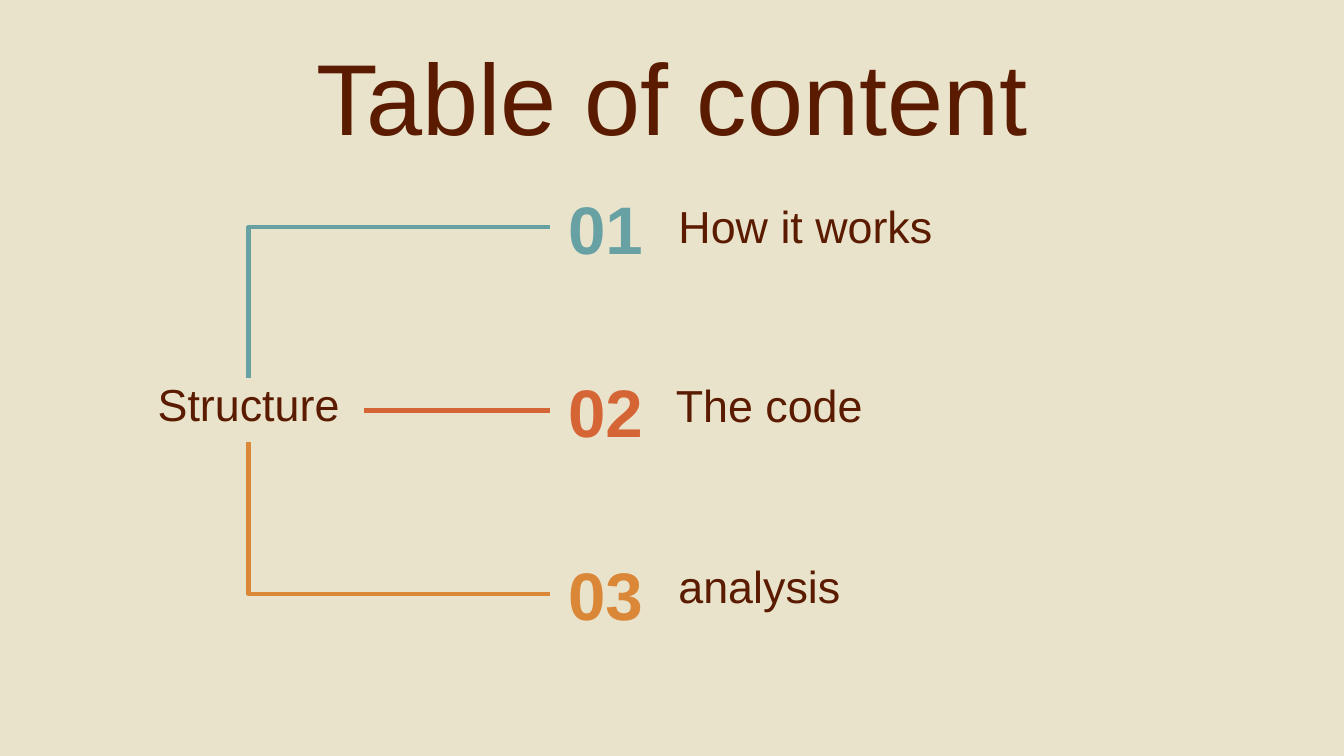
from dataclasses import dataclass

from pptx import Presentation
from pptx.dml.color import RGBColor
from pptx.enum.shapes import MSO_CONNECTOR
from pptx.enum.text import MSO_ANCHOR, PP_ALIGN
from pptx.oxml.ns import qn
from pptx.util import Inches, Pt


@dataclass(frozen=True)
class Theme:
    """Colours, font and type sizes of the slide."""
    background: str = "E9E3CB"
    ink: str = "5A1B00"
    teal: str = "68A1A4"
    red: str = "D56534"
    orange: str = "DA8737"
    font: str = "Arial"
    title_size: float = 54
    number_size: float = 36
    label_size: float = 24
    line_width: float = 2.25


@dataclass(frozen=True)
class Box:
    """A rectangle in inches."""
    left: float
    top: float
    width: float
    height: float


@dataclass(frozen=True)
class Section:
    """One entry of the contents and the branch that leads to it."""
    label: str
    color: str
    label_left: float
    label_top: float
    root_x: float
    root_y: float
    cornered: bool = True


THEME = Theme()
NUMBER_LEFT = 4.09
FIRST_NUMBER_TOP = 1.29
LAST_NUMBER_TOP = 4.02
BRANCH_DROP = 0.4

SECTIONS = (
    Section("How it works", THEME.teal, 4.95, 1.49, 1.85, 2.81),
    Section("The code", THEME.red, 4.93, 2.82, 2.71, 3.05, cornered=False),
    Section("analysis", THEME.orange, 4.95, 4.17, 1.85, 3.29),
)
ROW_PITCH = (LAST_NUMBER_TOP - FIRST_NUMBER_TOP) / (len(SECTIONS) - 1)


def add_text(shapes, box: Box, text: str, size: float, color: str = THEME.ink,
             align: PP_ALIGN = PP_ALIGN.CENTER,
             anchor: MSO_ANCHOR = MSO_ANCHOR.TOP, bold: bool = False) -> None:
    """Add a one-paragraph text box without pair kerning."""
    shape = shapes.add_textbox(Inches(box.left), Inches(box.top),
                               Inches(box.width), Inches(box.height))
    frame = shape.text_frame
    frame.word_wrap = True
    frame.vertical_anchor = anchor
    frame.margin_left = frame.margin_right = Inches(0.1)
    frame.margin_top = frame.margin_bottom = Inches(0.1)
    paragraph = frame.paragraphs[0]
    paragraph.text = text
    paragraph.alignment = align
    paragraph.font.name = THEME.font
    paragraph.font.size = Pt(size)
    paragraph.font.bold = bold
    paragraph.font.color.rgb = RGBColor.from_string(color)
    for properties in shape.element.iter(qn("a:defRPr")):
        properties.set("kern", "0")


def add_branch(shapes, section: Section, y: float) -> None:
    """Connect a section's number with the root of the structure."""
    branch = shapes.add_connector(
        MSO_CONNECTOR.ELBOW, Inches(NUMBER_LEFT), Inches(y),
        Inches(section.root_x), Inches(section.root_y if section.cornered else y))
    branch.line.color.rgb = RGBColor.from_string(section.color)
    branch.line.width = Pt(THEME.line_width)
    properties = branch.element.spPr
    if section.cornered:
        properties.find(qn("a:prstGeom")).set("prst", "bentConnector2")
    properties.append(properties.makeelement(qn("a:effectLst"), {}))


def add_section(shapes, number: int, section: Section, top: float) -> None:
    """Add the grouped label and number of a section."""
    entry = shapes.add_group_shape().shapes
    add_text(entry, Box(section.label_left, section.label_top, 4.07, 0.49),
             section.label, THEME.label_size, align=PP_ALIGN.LEFT,
             anchor=MSO_ANCHOR.BOTTOM)
    add_text(entry, Box(NUMBER_LEFT, top, 0.83, 0.79), f"{number:02}",
             THEME.number_size, section.color, bold=True)


def build() -> None:
    """Build and save the slide."""
    deck = Presentation()
    deck.slide_width = Inches(10)
    deck.slide_height = deck.slide_width * 9 // 16
    slide = deck.slides.add_slide(deck.slide_layouts[6])
    slide.background.fill.solid()
    slide.background.fill.fore_color.rgb = RGBColor.from_string(THEME.background)
    shapes = slide.shapes

    add_text(shapes, Box(0.78, 0.16, 8.44, 0.8), "Table of content",
             THEME.title_size)
    add_text(shapes, Box(0.98, 2.81, 1.74, 0.49), "Structure",
             THEME.label_size, anchor=MSO_ANCHOR.BOTTOM)
    for row, section in enumerate(SECTIONS):
        top = FIRST_NUMBER_TOP + row * ROW_PITCH
        add_branch(shapes, section, top + BRANCH_DROP)
        add_section(shapes, row + 1, section, top)
    deck.save("out.pptx")


build()
